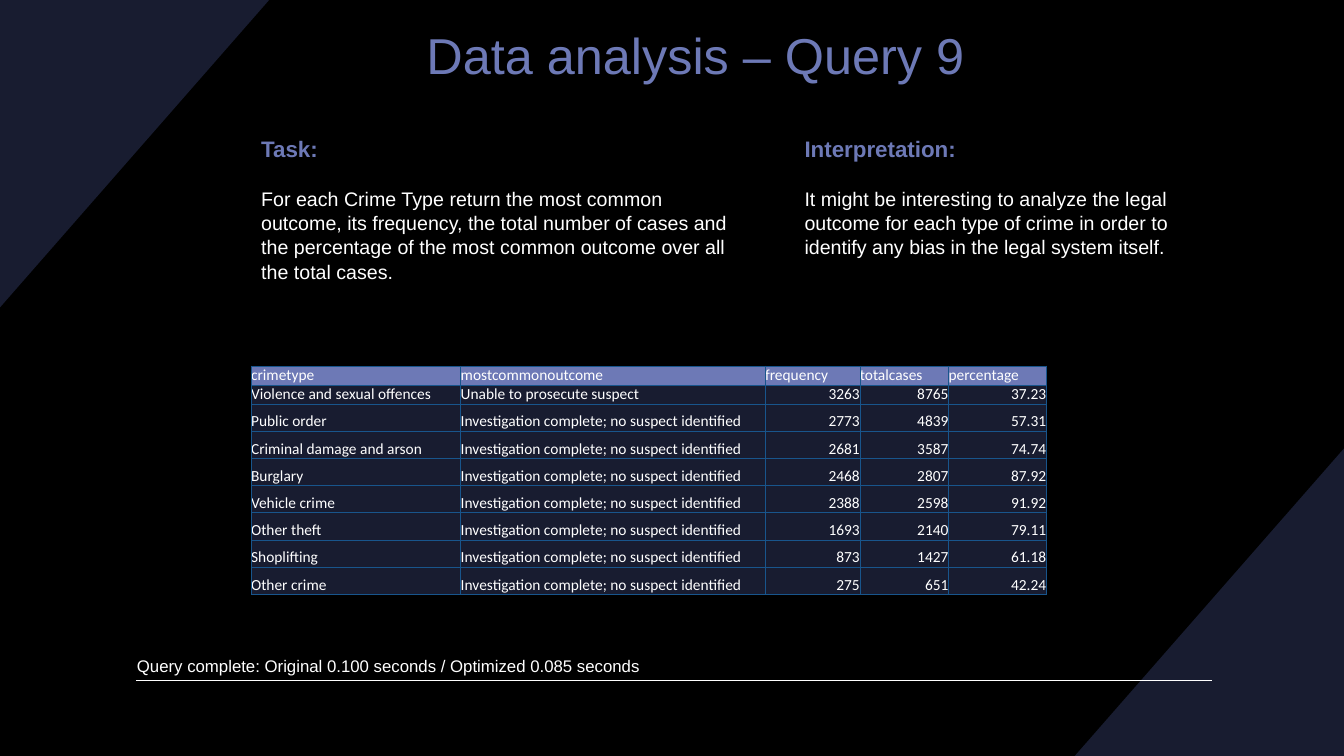
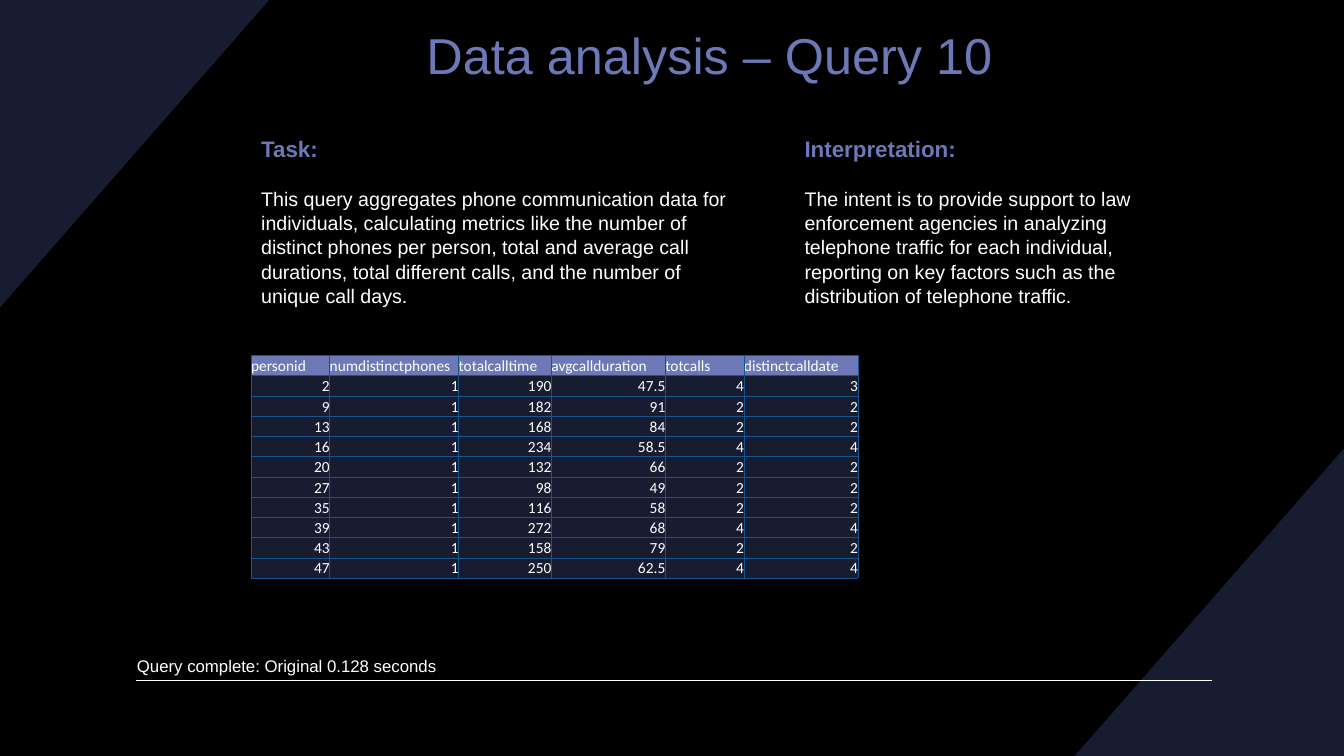
from dataclasses import dataclass

from lxml.etree import SubElement
from pptx import Presentation
from pptx.dml.color import RGBColor
from pptx.enum.shapes import MSO_CONNECTOR
from pptx.enum.text import MSO_ANCHOR, MSO_AUTO_SIZE, PP_ALIGN
from pptx.oxml.ns import qn
from pptx.util import Inches, Pt


@dataclass(frozen=True)
class Theme:
    back: str = "000000"
    panel: str = "181C30"
    accent: str = "6D79B6"
    text: str = "FFFFFF"
    grid: str = "18558C"
    font: str = "Arial"
    data: str = "Calibri"
    title: int = 36
    head: int = 16
    body: int = 14
    note: int = 12
    cell: int = 11


THEME = Theme()
WIDE, HIGH = Inches(13.33), Inches(7.5)
LEFT = 18.68  # shared left edge of task text and table

# Placeholder index: left, top, width, height in percent of the slide
FRAMES = {
    0: (30.98, 2.53, 59.26, 9.47),
    1: (LEFT, 17.07, 36.6, 23.73),
    2: (59.11, 17.07, 29.26, 23.73),
}

NO_ID = "Investigation complete; no suspect identified"
CRIMES = [
    ("crimetype", "mostcommonoutcome", "frequency", "totalcases", "percentage"),
    ("Violence and sexual offences", "Unable to prosecute suspect",
     "3263", "8765", "37.23"),
    ("Public order", NO_ID, "2773", "4839", "57.31"),
    ("Criminal damage and arson", NO_ID, "2681", "3587", "74.74"),
    ("Burglary", NO_ID, "2468", "2807", "87.92"),
    ("Vehicle crime", NO_ID, "2388", "2598", "91.92"),
    ("Other theft", NO_ID, "1693", "2140", "79.11"),
    ("Shoplifting", NO_ID, "873", "1427", "61.18"),
    ("Other crime", NO_ID, "275", "651", "42.24"),
]
CALLS = [
    ("personid", "numdistinctphones", "totalcalltime", "avgcallduration",
     "totcalls", "distinctcalldate"),
    ("2", "1", "190", "47.5", "4", "3"),
    ("9", "1", "182", "91", "2", "2"),
    ("13", "1", "168", "84", "2", "2"),
    ("16", "1", "234", "58.5", "4", "4"),
    ("20", "1", "132", "66", "2", "2"),
    ("27", "1", "98", "49", "2", "2"),
    ("35", "1", "116", "58", "2", "2"),
    ("39", "1", "272", "68", "4", "4"),
    ("43", "1", "158", "79", "2", "2"),
    ("47", "1", "250", "62.5", "4", "4"),
]


def across(share):
    return round(WIDE * share / 100)


def down(share):
    return round(HIGH * share / 100)


def color(code):
    return RGBColor.from_string(code)


def add_run(para, text, size, tint=THEME.text, bold=False, face=THEME.font):
    run = para.add_run()
    run.text = text
    font = run.font
    font.name, font.size, font.bold = face, Pt(size), bold
    font.color.rgb = color(tint)


def prep(frame):
    """Fix the text frame's size and start its text at the top."""
    frame.word_wrap = True
    frame.auto_size = MSO_AUTO_SIZE.NONE
    frame.vertical_anchor = MSO_ANCHOR.TOP
    return frame


def add_title(slide, text):
    para = prep(slide.shapes.title.text_frame).paragraphs[0]
    para.alignment = PP_ALIGN.LEFT
    add_run(para, text, THEME.title, THEME.accent)


def plain(para):
    """Strip the bullet and indent that the layout gives a paragraph."""
    props = para._p.get_or_add_pPr()
    props.set("marL", "0")
    props.set("indent", "0")
    SubElement(props, qn("a:buNone"))
    para.space_before = Pt(0)
    para.line_spacing = 1.04


def add_body(slide, index, head, text):
    frame = prep(slide.placeholders[index].text_frame)
    first, second = frame.paragraphs[0], frame.add_paragraph()
    plain(first)
    plain(second)
    first.space_after = Pt(16.8)
    add_run(first, head, THEME.head, THEME.accent, True)
    add_run(second, text, THEME.body)


def add_note(slide, text):
    box = slide.shapes.add_textbox(
        across(9.45), down(86.13), across(60.32), down(4))
    add_run(prep(box.text_frame).paragraphs[0], text, THEME.note)


def edge(cell):
    props = cell._tc.get_or_add_tcPr()
    for side in ("lnL", "lnR", "lnT", "lnB"):
        line = SubElement(props, qn(f"a:{side}"), w=str(Pt(0.5)))
        fill = SubElement(line, qn("a:solidFill"))
        SubElement(fill, qn("a:srgbClr"), val=THEME.grid)


def fill_cell(cell, text, fill):
    edge(cell)
    cell.fill.solid()
    cell.fill.fore_color.rgb = color(fill)
    cell.margin_left = cell.margin_right = 0
    cell.margin_top = cell.margin_bottom = 0
    cell.vertical_anchor = MSO_ANCHOR.BOTTOM
    para = cell.text_frame.paragraphs[0]
    para.alignment = PP_ALIGN.RIGHT if text[0].isdigit() else PP_ALIGN.LEFT
    add_run(para, text, THEME.cell, face=THEME.data)


def add_grid(slide, data, top, cols, rows):
    """Add a table; cols and rows are shares of the slide's size."""
    table = slide.shapes.add_table(
        len(rows), len(cols), across(LEFT), down(top),
        across(sum(cols)), down(sum(rows))).table
    for col, share in zip(table.columns, cols):
        col.width = across(share)
    for r, (line, share) in enumerate(zip(data, rows)):
        table.rows[r].height = down(share)
        for c, text in enumerate(line):
            fill_cell(table.cell(r, c), text,
                      THEME.panel if r else THEME.accent)


def add_wedge(slide, points):
    spots = [(across(x), down(y)) for x, y in points]
    build = slide.shapes.build_freeform(*spots[0])
    build.add_line_segments(spots[1:], close=True)
    wedge = build.convert_to_shape()
    wedge.shadow.inherit = False
    wedge.fill.solid()
    wedge.fill.fore_color.rgb = color(THEME.panel)
    wedge.line.fill.background()
    return wedge


def add_rule(slide):
    rule = slide.shapes.add_connector(
        MSO_CONNECTOR.STRAIGHT, across(10.13), down(90), across(90.17), down(90))
    rule.line.color.rgb = color(THEME.text)
    rule.line.width = Pt(1)
    SubElement(rule.element.spPr, qn("a:effectLst"))
    return rule


def set_master(deck, layout, slide):
    """Draw the shared decor on a slide, then hand it to the master."""
    master = deck.slide_master
    master.background.fill.solid()
    master.background.fill.fore_color.rgb = color(THEME.back)
    corner = [(0, 0), (20.03, 0), (0, 40.67)]
    turned = [(100 - x, 100 - y) for x, y in corner]
    decor = [add_wedge(slide, turned), add_wedge(slide, corner), add_rule(slide)]
    for n, item in enumerate(decor):
        item.element.xpath(".//p:cNvPr")[0].set("id", str(20 + n))
        master.shapes.element.insert(2 + n, item.element)
    for hold in layout.placeholders:
        index = hold.placeholder_format.idx
        if index in FRAMES:
            x, y, w, h = FRAMES[index]
            hold.left, hold.top = across(x), down(y)
            hold.width, hold.height = across(w), down(h)


def fill_slide(slide, number, task, sense, note):
    add_title(slide, f"Data analysis – Query {number}")
    add_body(slide, 1, "Task:", task)
    add_body(slide, 2, "Interpretation:", sense)
    add_note(slide, f"Query complete: {note}")


def main():
    deck = Presentation()
    deck.slide_width, deck.slide_height = WIDE, HIGH
    layout = deck.slide_layouts.get_by_name("Two Content")
    crime, phone = [deck.slides.add_slide(layout) for _ in range(2)]
    set_master(deck, layout, crime)

    fill_slide(
        crime, 9,
        "For each Crime Type return the most common outcome, its frequency, "
        "the total number of cases and the percentage of the most common "
        "outcome over all the total cases.",
        "It might be interesting to analyze the legal outcome for each type "
        "of crime in order to identify any bias in the legal system itself.",
        "Original 0.100 seconds / Optimized 0.085 seconds")
    add_grid(crime, CRIMES, 48.4, (15.6, 22.65, 7.05, 6.6, 7.28),
             [2.48] * 2 + [3.6] * 7)

    fill_slide(
        phone, 10,
        "This query aggregates phone communication data for individuals, "
        "calculating metrics like the number of distinct phones per person, "
        "total and average call durations, total different calls, and the "
        "number of unique call days.",
        "The intent is to provide support to law enforcement agencies in "
        "analyzing telephone traffic for each individual, reporting on key "
        "factors such as the distribution of telephone traffic.",
        "Original 0.128 seconds")
    add_grid(phone, CALLS, 47.03, (5.85, 9.6, 6.9, 8.48, 5.85, 8.48),
             [2.68] * len(CALLS))
    deck.save("out.pptx")


if __name__ == "__main__":
    main()
